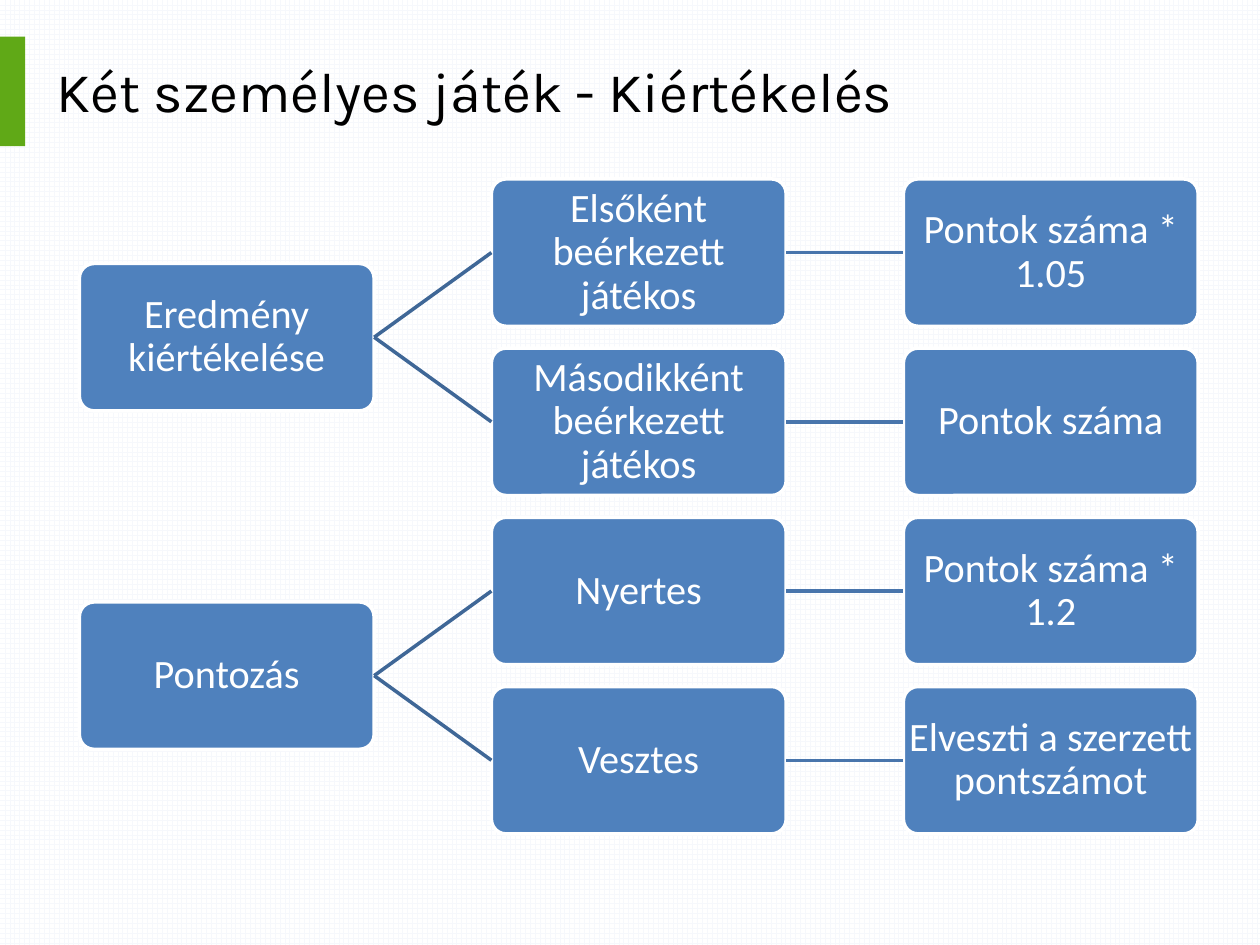
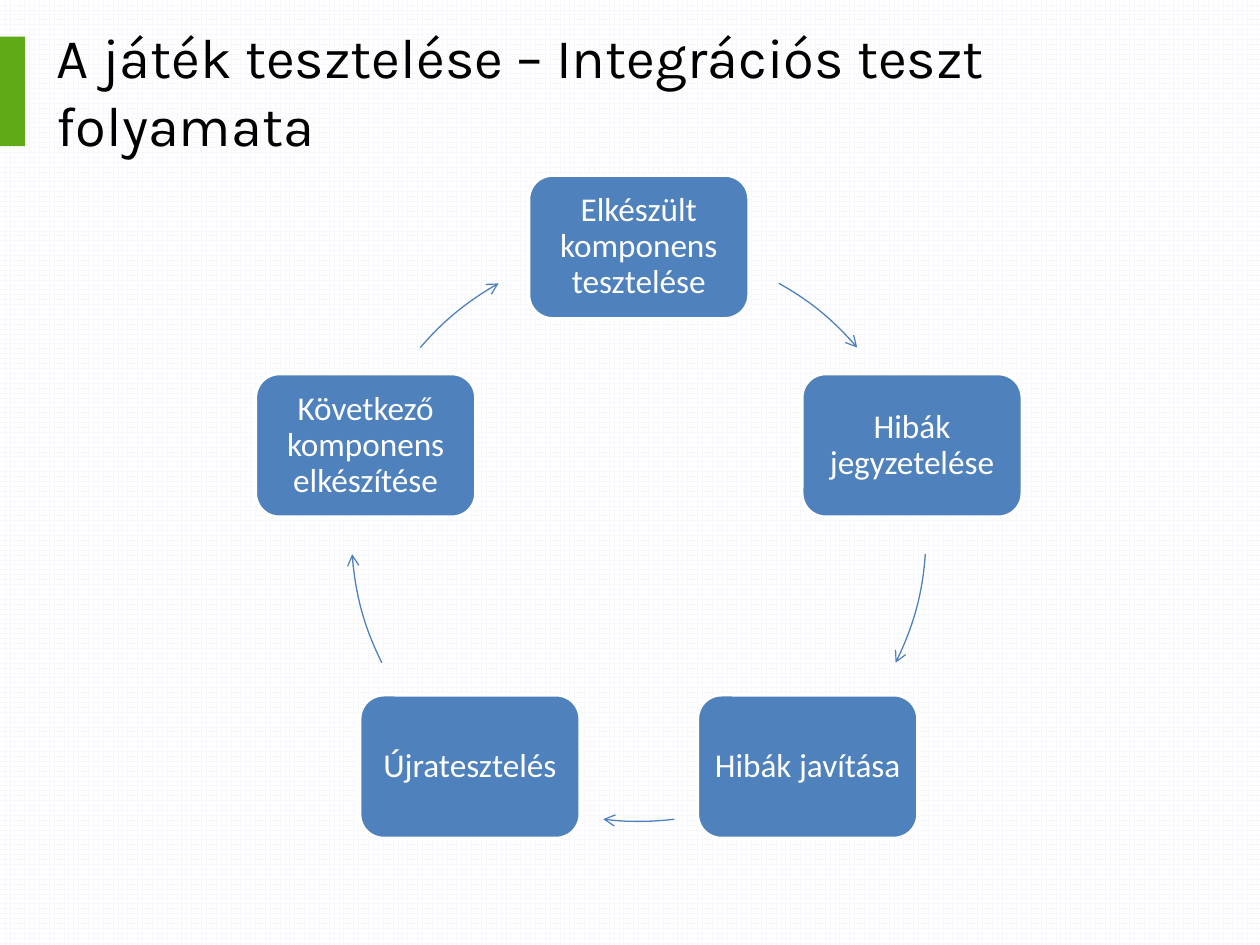
import math

from lxml import etree
from pptx import Presentation
from pptx import util as u
from pptx.dml import color
from pptx.enum import dml, shapes, text
from pptx.oxml import ns

# Shared look
GREEN, BLUE, WHITE, BLACK = "60A917", "4F81BD", "FFFFFF", "000000"
GRID = "F6F8FC"
BRANCH, RESULT = "3F6797", "4875AC"
TITLE_FONT, BODY_FONT = "Karla", "Calibri"

# Evaluation tree: root, then (branch, result) pairs
TREE = [
    ("Eredmény kiértékelése", [
        ("Elsőként beérkezett játékos", "Pontok száma * 1.05"),
        ("Másodikként beérkezett játékos", "Pontok száma"),
    ]),
    ("Pontozás", [
        ("Nyertes", "Pontok száma * 1.2"),
        ("Vesztes", "Elveszti a szerzett pontszámot"),
    ]),
]
TREE_LEFT, TREE_TOP = 0.63, 1.42
COLUMN_STEP, ROW_STEP = 3.27, 1.343
TREE_BOX = (2.34, 1.17)

# Test cycle: steps clockwise from the top, arrows as (start, end) degrees
STEPS = [
    "Elkészült komponens tesztelése",
    "Hibák jegyzetelése",
    "Hibák javítása",
    "Újratesztelés",
    "Következő komponens elkészítése",
]
ARROWS = [(299.2, 319.5), (4, 26.6), (82.9, 97.1), (153.4, 176), (220.5, 240.8)]
CENTER_X, CENTER_Y, RADIUS = 5.07, 4.24, 2.28
STEP_BOX = (1.75, 1.14)


def rgb(value):
    return color.RGBColor.from_string(value)


def write(frame, content, *, size, font, ink, align, inset=None, spacing=None):
    """Fill a text frame with one formatted, vertically centred paragraph."""
    frame.word_wrap = True
    frame.auto_size = text.MSO_AUTO_SIZE.NONE
    frame.vertical_anchor = text.MSO_ANCHOR.MIDDLE
    if inset is not None:
        frame.margin_left = frame.margin_right = u.Inches(inset)
        frame.margin_top = frame.margin_bottom = u.Inches(inset)
    para = frame.paragraphs[0]
    para.alignment = align
    para.line_spacing = spacing
    span = para.add_run()
    span.text = content
    span.font.size = u.Pt(size)
    span.font.name = font
    span.font.color.rgb = rgb(ink)


def add_preset(page, kind, left, top, width, height):
    shape = page.shapes.add_shape(kind, *map(u.Inches, (left, top, width, height)))
    shape.shadow.inherit = False
    return shape


def add_box(page, content, left, top, extent, *, size, inset, corner):
    box = add_preset(page, shapes.MSO_SHAPE.ROUNDED_RECTANGLE, left, top, *extent)
    box.adjustments[0] = corner
    box.fill.solid()
    box.fill.fore_color.rgb = rgb(BLUE)
    box.line.color.rgb = rgb(WHITE)
    box.line.width = u.Pt(2)
    write(box.text_frame, content, size=size, font=BODY_FONT, ink=WHITE,
          align=text.PP_ALIGN.CENTER, inset=inset, spacing=0.9)
    return box


def join(page, source, target, ink):
    """Link the right side of one box to the left side of another."""
    link = page.shapes.add_connector(shapes.MSO_CONNECTOR.STRAIGHT, 0, 0, 0, 0)
    link.begin_connect(source, 3)
    link.end_connect(target, 1)
    link.line.color.rgb = rgb(ink)
    link.line.width = u.Pt(2)
    etree.SubElement(link.element.spPr, ns.qn("a:effectLst"))


def add_arc_arrow(page, start, end):
    """Draw an arrow along the cycle's circle."""
    arc = add_preset(page, shapes.MSO_SHAPE.ARC, CENTER_X - RADIUS,
                     CENTER_Y - RADIUS, 2 * RADIUS, 2 * RADIUS)
    # Angles are stored in 1/60000 degree, adjustments in 1/100000
    arc.adjustments[0] = start * 0.6
    arc.adjustments[1] = end * 0.6
    arc.fill.background()
    arc.line.color.rgb = rgb(BLUE)
    arc.line.width = u.Pt(0.75)
    outline = arc.element.spPr.find(ns.qn("a:ln"))
    etree.SubElement(outline, ns.qn("a:tailEnd"), type="arrow")


def style_master(deck, page):
    """Give the master its grid background and green title band."""
    master = deck.slide_master
    fill = master.background.fill
    fill.patterned()
    fill.pattern = dml.MSO_PATTERN.LARGE_GRID
    fill.fore_color.rgb = rgb(GRID)
    fill.back_color.rgb = rgb(WHITE)
    band = add_preset(page, shapes.MSO_SHAPE.RECTANGLE, 0, 0.29, 0.2, 0.87)
    band.fill.solid()
    band.fill.fore_color.rgb = rgb(GREEN)
    band.line.fill.background()
    band.element.nvSpPr.cNvPr.set("id", "100")
    master.shapes.element.append(band.element)


def add_page(deck, heading, width):
    page = deck.slides.add_slide(deck.slide_layouts[5])
    title = page.shapes.title
    title.left, title.top = u.Inches(0.35), u.Inches(0.29)
    title.width, title.height = u.Inches(width), u.Inches(0.85)
    write(title.text_frame, heading, size=32, font=TITLE_FONT, ink=BLACK,
          align=text.PP_ALIGN.LEFT)
    return page


def add_tree_box(page, content, column, row):
    return add_box(page, content, TREE_LEFT + column * COLUMN_STEP,
                   TREE_TOP + row * ROW_STEP, TREE_BOX,
                   size=23, inset=0, corner=0.1)


def draw_tree(page):
    row = 0
    for root_name, branches in TREE:
        root = add_tree_box(page, root_name, 0, row + (len(branches) - 1) / 2)
        for branch_name, result_name in branches:
            branch = add_tree_box(page, branch_name, 1, row)
            result = add_tree_box(page, result_name, 2, row)
            join(page, root, branch, BRANCH)
            join(page, branch, result, RESULT)
            row += 1


def draw_cycle(page):
    width, height = STEP_BOX
    for index, (step, arrow) in enumerate(zip(STEPS, ARROWS)):
        angle = math.radians(index * 360 / len(STEPS) - 90)
        left = CENTER_X + RADIUS * math.cos(angle) - width / 2
        top = CENTER_Y + RADIUS * math.sin(angle) - height / 2
        add_box(page, step, left, top, STEP_BOX, size=19, inset=0.03, corner=0.1667)
        add_arc_arrow(page, *arrow)


def main():
    deck = Presentation()
    deck.slide_width, deck.slide_height = u.Inches(10), u.Inches(7.5)

    # Evaluation of the two-player game
    page = add_page(deck, "Két személyes játék - Kiértékelés", 7.09)
    style_master(deck, page)
    draw_tree(page)

    # Integration test cycle
    page = add_page(deck, "A játék tesztelése – Integrációs teszt folyamata", 9.21)
    draw_cycle(page)

    deck.save("out.pptx")


if __name__ == "__main__":
    main()
